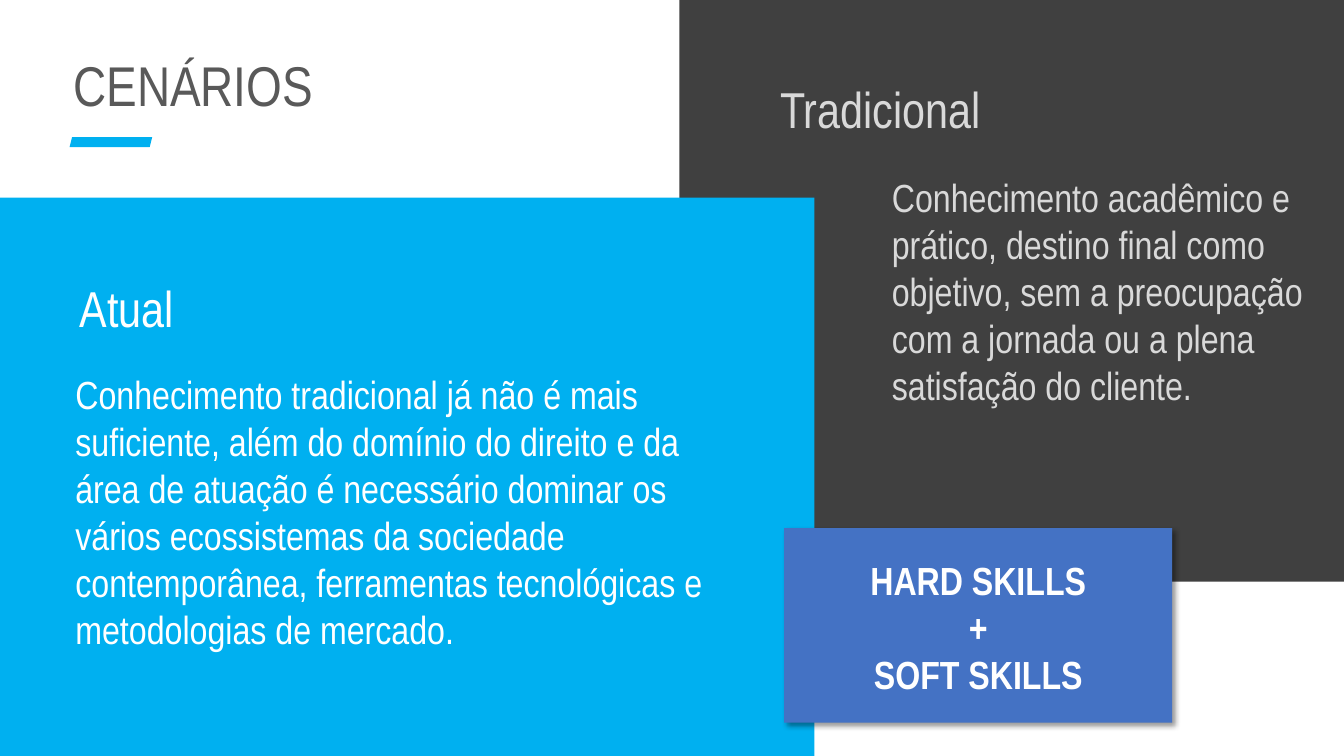
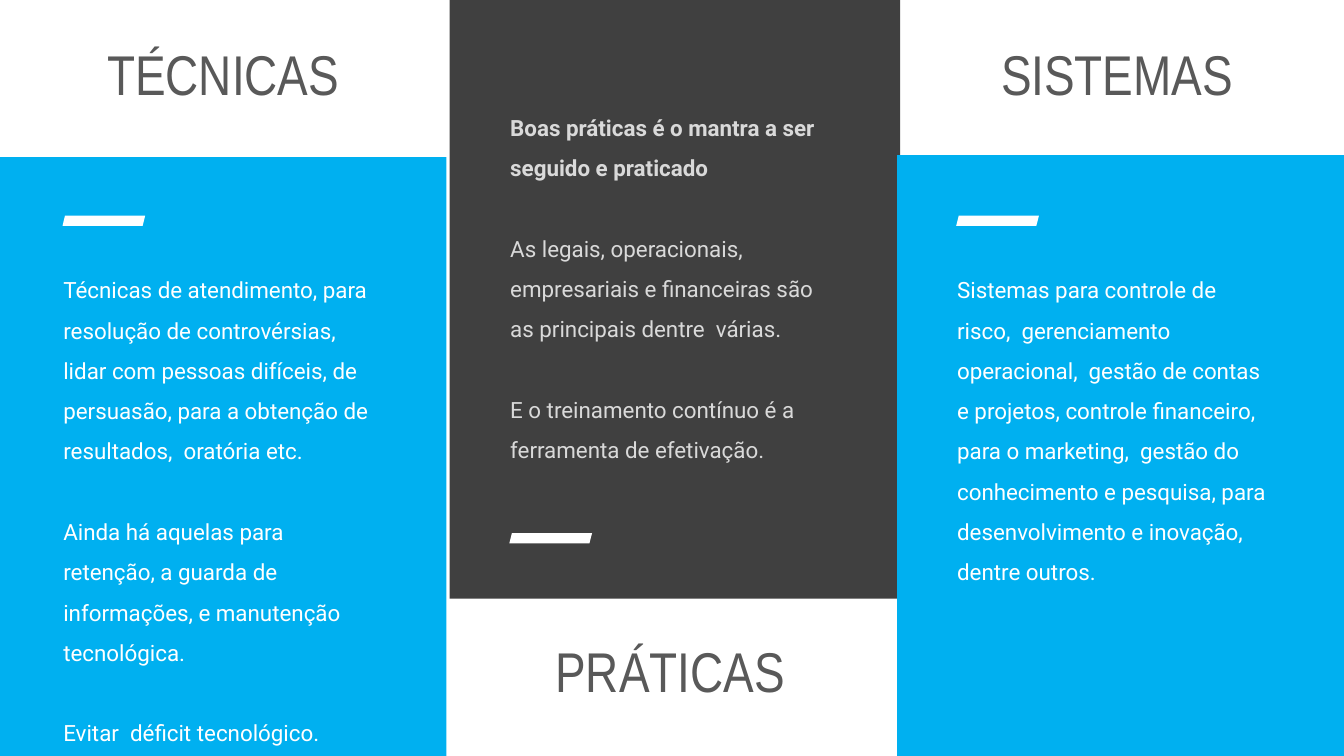
from lxml import etree
from pptx import Presentation
from pptx.dml.color import RGBColor
from pptx.enum.shapes import MSO_SHAPE
from pptx.enum.text import MSO_AUTO_SIZE, PP_ALIGN
from pptx.oxml.ns import qn
from pptx.util import Inches, Pt

RECT = MSO_SHAPE.RECTANGLE
SLANT = MSO_SHAPE.PARALLELOGRAM
GROW = MSO_AUTO_SIZE.SHAPE_TO_FIT_TEXT
LEFT, CENTER = PP_ALIGN.LEFT, PP_ALIGN.CENTER

BLUE = RGBColor(0x00, 0xB0, 0xF0)
DARK = RGBColor(0x40, 0x40, 0x40)
INDIGO = RGBColor(0x44, 0x72, 0xC4)
GRAY = RGBColor(0x59, 0x59, 0x59)
SILVER = RGBColor(0xD9, 0xD9, 0xD9)
WHITE = RGBColor(0xFF, 0xFF, 0xFF)
BLACK = RGBColor(0x00, 0x00, 0x00)

NARROW, ROBOTO = "Arial Narrow", "Roboto"
COLS, ROWS = 40, 22.5
COLUMN_STEP = 13.3
PARAGRAPH_GAP = 28.8


class Deck:
    """Slides on a square grid of 40 columns by 22.5 rows, with one shared style."""

    def __init__(self):
        self.prs = Presentation()
        self.prs.slide_width, self.prs.slide_height = Inches(40 / 3), Inches(7.5)
        self.s = None

    def slide(self):
        self.s = self.prs.slides.add_slide(self.prs.slide_layouts[6])

    def place(self, x, y, w, h):
        col, row = self.prs.slide_width / COLS, self.prs.slide_height / ROWS
        return [round(v) for v in (x * col, y * row, w * col, h * row)]

    def panel(self, x, y, w, h, color, kind=RECT):
        sp = self.s.shapes.add_shape(kind, *self.place(x, y, w, h))
        sp.shadow.inherit = False
        sp.fill.solid()
        sp.fill.fore_color.rgb = color
        sp.line.fill.background()
        return sp

    def accent(self, x, y, color):
        self.panel(x, y, 2.46, 0.3, color, SLANT)

    def raised_panel(self, x, y, w, h, color):
        sp = self.panel(x, y, w, h, color)
        effects = sp._element.spPr.find(qn("a:effectLst"))
        shadow = etree.SubElement(
            effects, qn("a:outerShdw"), blurRad=str(Pt(4)), dist=str(Pt(3)),
            dir=str(45 * 60000), algn="tl", rotWithShape="0")
        tint = etree.SubElement(shadow, qn("a:srgbClr"), val=str(BLACK))
        etree.SubElement(tint, qn("a:alpha"), val="40000")

    def text(self, x, y, w, h, paragraphs, size, color, font=NARROW,
             align=LEFT, bold=(), spacing=None, gap=0):
        tf = self.s.shapes.add_textbox(*self.place(x, y, w, h)).text_frame
        tf.word_wrap = True
        tf.auto_size = GROW
        for i, words in enumerate(paragraphs):
            p = tf.add_paragraph() if i else tf.paragraphs[0]
            p.alignment = align
            if spacing:
                p.line_spacing = spacing
            if i and gap:
                p.space_before = Pt(gap)
            r = p.add_run()
            r.text = words
            r.font.name, r.font.size = font, Pt(size)
            r.font.bold = i in bold
            r.font.color.rgb = color

    def title(self, x, y, w, words, align=LEFT):
        self.text(x, y, w, 2.31, [words], 40, GRAY, align=align)

    def heading(self, x, y, words, color):
        self.text(x, y, 15.63, 2.13, [words], 36, color)

    def statement(self, x, y, w, h, words, color):
        self.text(x, y, w, h, [words], 28, color)

    def body(self, x, y, h, paragraphs, color, bold=()):
        self.text(x, y, 9.96, h, paragraphs, 16, color, ROBOTO,
                  bold=bold, spacing=1.5, gap=PARAGRAPH_GAP)


def scenarios(deck):
    deck.slide()
    deck.title(1.89, 1.35, 12.81, "CENÁRIOS")
    deck.accent(2.07, 4.08, BLUE)
    deck.panel(20.22, 0, 19.78, 17.31, DARK)
    deck.panel(0, 5.88, 24.24, 16.62, BLUE)
    deck.heading(22.92, 2.19, "Tradicional", SILVER)
    deck.statement(
        26.25, 5.01, 13.2, 8.79,
        "Conhecimento acadêmico e prático, destino final como objetivo, sem a "
        "preocupação com a jornada ou a plena satisfação do cliente.", SILVER)
    deck.heading(2.07, 8.1, "Atual", WHITE)
    deck.statement(
        1.95, 10.86, 19.89, 10.2,
        "Conhecimento tradicional já não é mais suficiente, além do domínio do "
        "direito e da área de atuação é necessário dominar os vários ecossistemas "
        "da sociedade contemporânea, ferramentas tecnológicas e metodologias de "
        "mercado.", WHITE)
    deck.raised_panel(23.34, 15.72, 11.55, 5.79, INDIGO)
    deck.text(23.85, 16.41, 10.53, 4.53, ["HARD SKILLS", "+", "SOFT SKILLS"],
              28, WHITE, align=CENTER, bold=(0, 1, 2))


def pillars(deck):
    techniques = [
        "Técnicas de atendimento, para resolução de controvérsias, lidar com "
        "pessoas difíceis, de persuasão, para a obtenção de resultados,  oratória etc.",
        "Ainda há aquelas para retenção, a guarda de informações, e manutenção "
        "tecnológica.",
        "Evitar  déficit tecnológico.",
    ]
    practices = [
        "Boas práticas é o mantra a ser seguido e praticado",
        "As legais, operacionais, empresariais e financeiras são as principais "
        "dentre  várias.",
        "E o treinamento contínuo é a ferramenta de efetivação.",
    ]
    systems = [
        "Sistemas para controle de risco,  gerenciamento operacional,  gestão de "
        "contas e projetos, controle financeiro, para o marketing,  gestão do "
        "conhecimento e pesquisa, para desenvolvimento e inovação, dentre outros.",
    ]
    columns = [
        ("TÉCNICAS", 1.02, (0, 4.68, 13.29, 17.82, BLUE), 6.42,
         (7.68, 13.47, techniques, WHITE)),
        ("PRÁTICAS", 18.81, (13.38, 0, 13.41, 17.82, DARK), 15.87,
         (2.85, 11.04, practices, SILVER, (0,))),
        ("SISTEMAS", 1.02, (26.7, 4.62, 13.3, 17.88, BLUE), 6.42,
         (7.68, 9.84, systems, WHITE)),
    ]
    deck.slide()
    for i, (name, title_y, panel, accent_y, body) in enumerate(columns):
        x = i * COLUMN_STEP
        deck.panel(*panel)
        deck.title(x, title_y, 13.29, name, CENTER)
        deck.accent(x + 1.86, accent_y, WHITE)
        deck.body(x + 1.59, *body)


def main():
    deck = Deck()
    scenarios(deck)
    pillars(deck)
    deck.prs.save("out.pptx")


if __name__ == "__main__":
    main()
